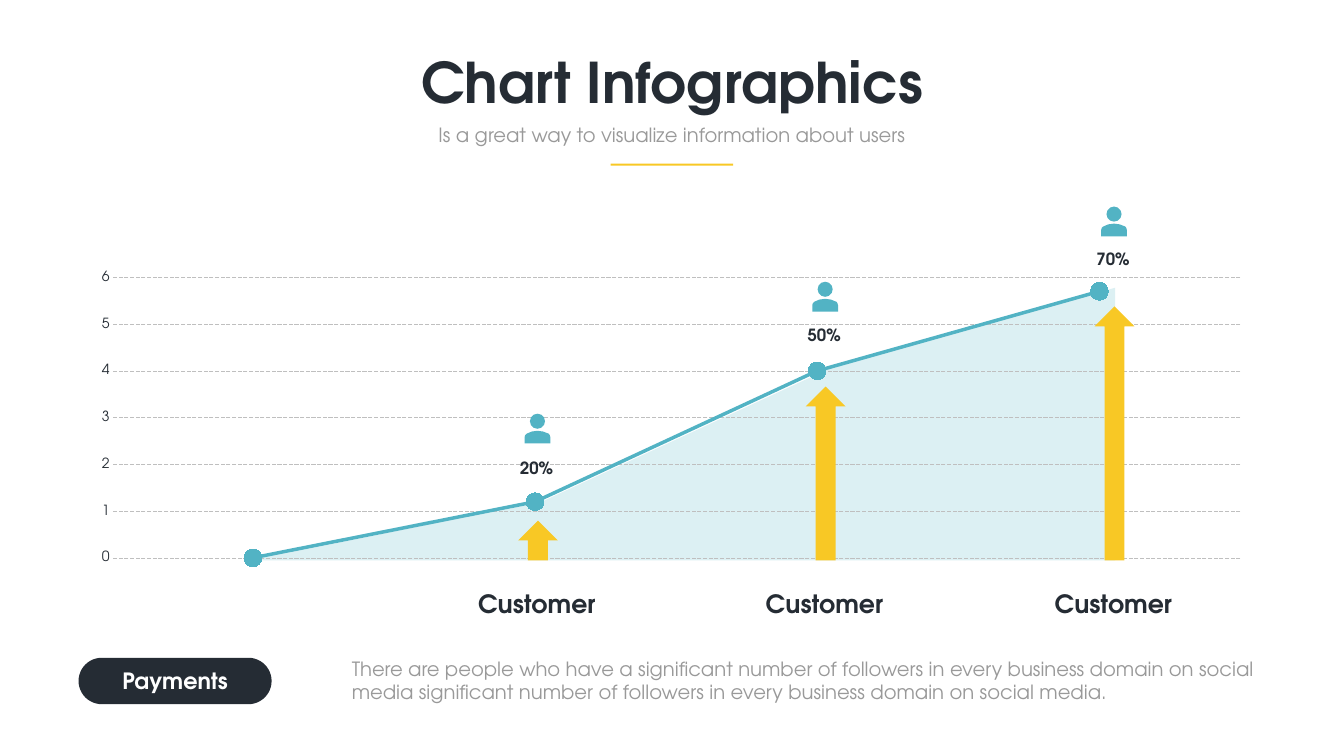
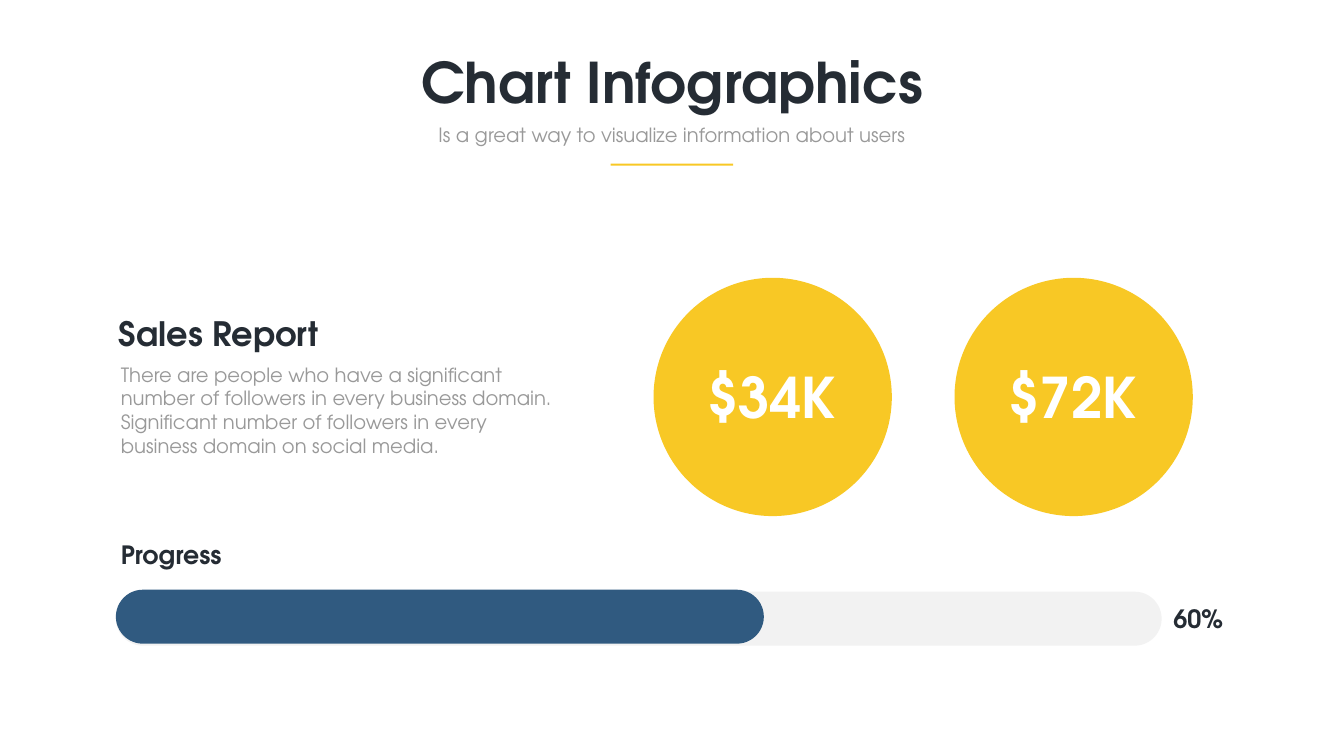
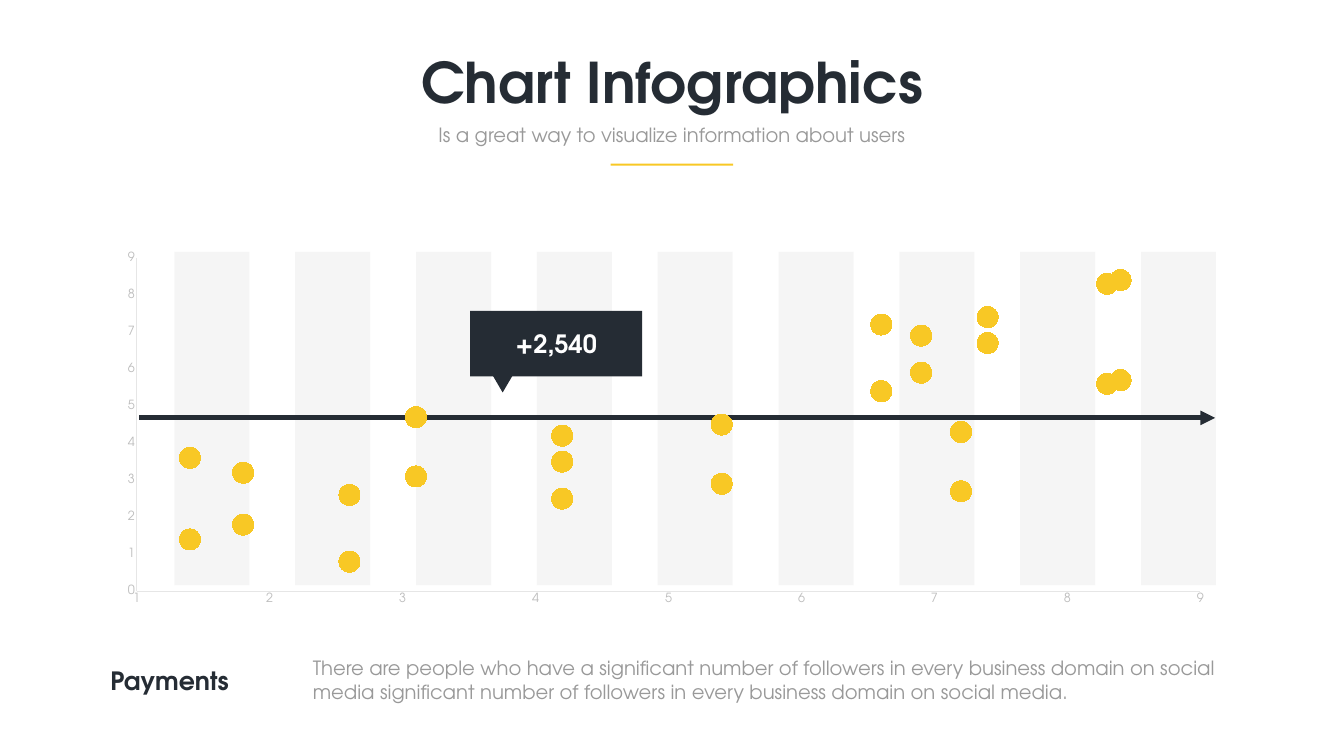
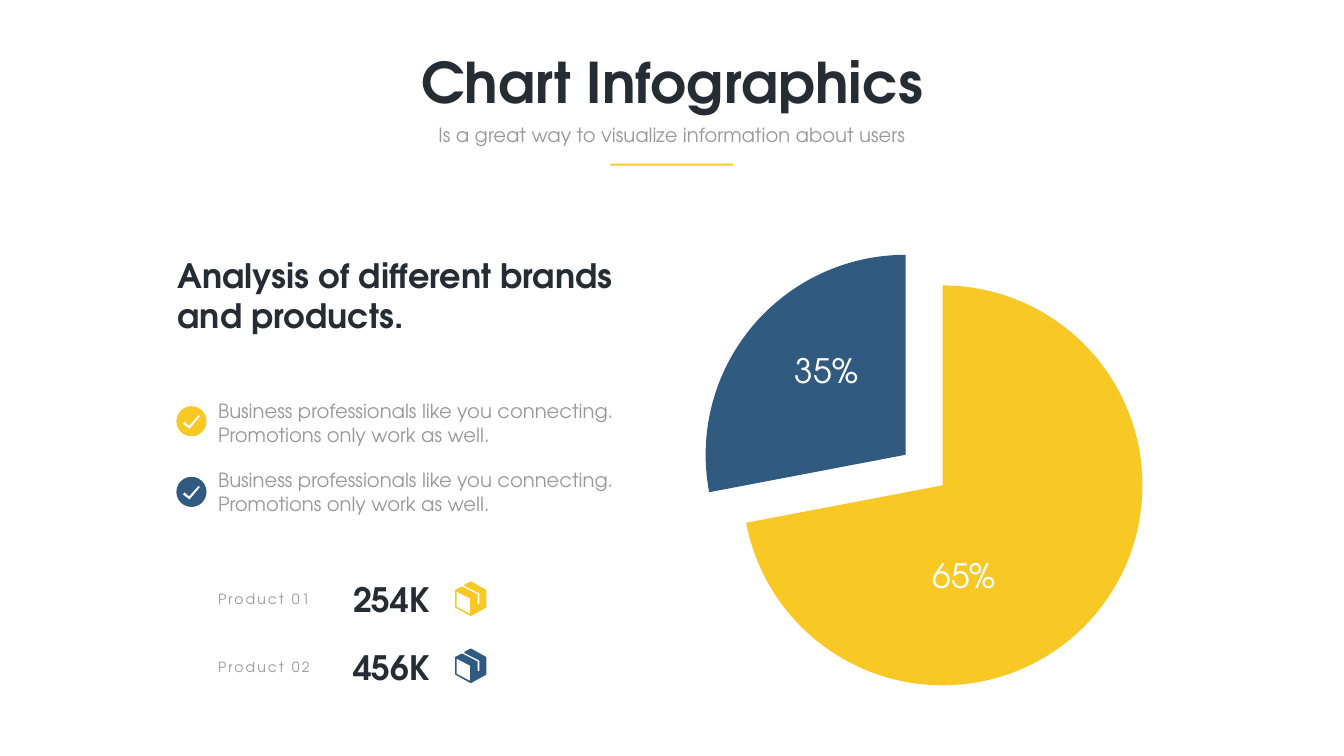
from pptx import Presentation
from pptx.chart.data import CategoryChartData, XyChartData
from pptx.dml.color import RGBColor
from pptx.enum.chart import XL_CHART_TYPE as Kind, XL_MARKER_STYLE as Mark, XL_TICK_MARK as Tick
from pptx.enum.dml import MSO_LINE as Dash
from pptx.enum.shapes import MSO_CONNECTOR as Link, MSO_SHAPE as Form
from pptx.enum.text import MSO_ANCHOR as Anchor, MSO_AUTO_SIZE as Fit, PP_ALIGN as Align
from pptx.oxml import parse_xml
from pptx.oxml.ns import nsdecls, qn
from pptx.util import Cm, Pt

FONT = "TeX Gyre Adventor"
DARK, GREY, WHITE = "252C34", "999999", "FFFFFF"
GOLD, BLUE, TEAL = "F8C825", "305A80", "52B3C4"
PALE, MIST = "F2F2F2", "DCF0F3"
LEFT, MID, RIGHT = Align.LEFT, Align.CENTER, Align.RIGHT
ABOUT = ("There are people who have a significant number of followers in every business "
         "domain on social media significant number of followers in every business domain "
         "on social media.")

BODY = [(1.22, 0.15), (0.94, 0.04), (0.65, 0), (0.36, 0.04), (0.1, 0.15), (0.03, 0.22),
        (0, 0.33), (0, 0.64), (1.3, 0.64), (1.3, 0.33), (1.27, 0.22)]
TICK = [(1.12, 0.46), (1.19, 0.51), (0.66, 1.14), (0.33, 0.89), (0.41, 0.79), (0.64, 0.99)]
CRATE = [(1.55, 0.41), (0.81, 0), (0.76, 0), (0.48, 0.15), (0.46, 0.19), (0.48, 0.23),
         (1.19, 0.58), (1.22, 0.62), (1.22, 1.12), (1.18, 1.14), (1.14, 1.12), (1.14, 0.66),
         (1.12, 0.64), (0.36, 0.25), (0.33, 0.25), (0.03, 0.41), (0, 0.43), (0, 1.3),
         (0.03, 1.32), (0.76, 1.73), (0.81, 1.73), (1.55, 1.32), (1.57, 1.3), (1.57, 0.43)]
FRONT = [(0.76, 1.63), (0.08, 1.27), (0.08, 0.51), (0.76, 0.86)]


def tint(code):
    return RGBColor.from_string(code)


def style(font, size, color, bold=False, name=FONT):
    font.name, font.size, font.bold = name, Pt(size), bold
    font.color.rgb = tint(color)


class Deck:
    def __init__(self):
        self.prs = Presentation()
        self.prs.slide_width, self.prs.slide_height = Cm(67.74), Cm(38.1)

    def page(self):
        slide = self.prs.slides.add_slide(self.prs.slide_layouts[6])
        self.shapes = slide.shapes
        self.text("Chart Infographics", 17.48, 2.29, 32.79, 3.68, 80, DARK, True, MID)
        self.text("Is a great way to visualize information about users",
                  21.72, 6.05, 24.28, 1.45, align=MID)
        self.shape(Form.RECTANGLE, 30.78, 8.25, 6.17, 0.1, GOLD)

    def text(self, words, x, y, w, h, size=28, color=GREY, bold=False, align=LEFT,
             wrap=True, space=0):
        box = self.shapes.add_textbox(Cm(x), Cm(y), Cm(w), Cm(h))
        frame = box.text_frame
        frame.word_wrap = wrap
        frame.auto_size = Fit.SHAPE_TO_FIT_TEXT
        para = frame.paragraphs[0]
        para.alignment = align
        run = para.add_run()
        run.text = words
        style(run.font, size, color, bold)
        if space:
            run._r.get_or_add_rPr().set("spc", str(space * 100))
        return frame

    def paint(self, item, color, alpha=None):
        item.shadow.inherit = False
        item.fill.solid()
        item.fill.fore_color.rgb = tint(color)
        item.line.fill.background()
        if alpha:
            node = item._element.spPr.find(".//" + qn("a:srgbClr"))
            node.append(parse_xml(f'<a:alpha {nsdecls("a")} val="{alpha * 1000}"/>'))
        return item

    def shape(self, form, x, y, w, h, color, alpha=None):
        item = self.shapes.add_shape(form, Cm(x), Cm(y), Cm(w), Cm(h))
        return self.paint(item, color, alpha)

    def pill(self, x, y, w, h, color):
        self.shape(Form.ROUNDED_RECTANGLE, x, y, w, h, color).adjustments[0] = 0.5

    def free(self, x, y, color, *rings):
        rings = [[(Cm(x + a), Cm(y + b)) for a, b in ring] for ring in rings]
        build = self.shapes.build_freeform(*rings[0][0], scale=1.0)
        for ring in rings:
            if ring is not rings[0]:
                build.move_to(*ring[0])
            build.add_line_segments(ring[1:], close=True)
        self.paint(build.convert_to_shape(), color)

    def person(self, x, y):
        self.free(x, y + 0.86, TEAL, BODY)
        self.shape(Form.OVAL, x + 0.27, y, 0.76, 0.76, TEAL)

    def arrow(self, x, y, end, color, width):
        line = self.shapes.add_connector(Link.STRAIGHT, Cm(x), Cm(y), Cm(end), Cm(y))
        line.line.color.rgb = tint(color)
        line.line.width = Pt(width)
        line.line._get_or_add_ln().append(
            parse_xml(f'<a:tailEnd {nsdecls("a")} type="triangle"/>'))
        line._element.spPr.append(parse_xml(f'<a:effectLst {nsdecls("a")}/>'))

    def chart(self, kind, data, place, inner, size=18, name=FONT):
        chart = self.shapes.add_chart(kind, *(Cm(n) for n in place), data).chart
        chart.has_legend = chart.has_title = False
        style(chart.font, size, GREY, name=name)
        chart.plots[0].vary_by_categories = False
        area = chart._chartSpace.chart.plotArea
        for old in area.findall(qn("c:layout")):
            area.remove(old)
        spots = "".join(f'<c:{tag} val="{val}"/>' for tag, val in zip("xywh", inner))
        area.insert(0, parse_xml(
            f'<c:layout {nsdecls("c")}><c:manualLayout><c:layoutTarget val="inner"/>'
            f'<c:xMode val="edge"/><c:yMode val="edge"/>{spots}</c:manualLayout></c:layout>'))
        clear = f'<c:spPr {nsdecls("c", "a")}><a:noFill/><a:ln><a:noFill/></a:ln></c:spPr>'
        area.append(parse_xml(clear))
        chart._chartSpace.chart.addnext(parse_xml(clear))
        return chart

    def axis(self, axis, low, high, size, color):
        axis.minimum_scale, axis.maximum_scale, axis.major_unit = low, high, 1
        axis.major_tick_mark = axis.minor_tick_mark = Tick.NONE
        axis.has_major_gridlines = False
        style(axis.tick_labels.font, size, color)

    def dot(self, series, size, color, edge):
        series.smooth = False
        mark = series.marker
        mark.style, mark.size = Mark.CIRCLE, size
        mark.format.fill.solid()
        mark.format.fill.fore_color.rgb = tint(color)
        mark.format.line.color.rgb = tint(edge)


def growth(deck):
    deck.page()
    base = 28.24
    deck.free(0, 0, MIST, [(27.23, 25.32), (41.71, 18.62), (56.21, 14.5),
                           (56.21, base), (12.6, base)])
    data = CategoryChartData()
    data.categories = ["1", "2", "3", "4"]
    data.add_series("Series 1", [0, 1.2, 4, 5.7])
    chart = deck.chart(Kind.LINE_MARKERS, data, (3.96, 13.36, 59.82, 15.42),
                       (0.028, 0.04, 0.951, 0.917), 20)
    chart.category_axis.visible = False
    axis = chart.value_axis
    deck.axis(axis, 0, 6, 20, DARK)
    axis.format.line.fill.background()
    axis.has_major_gridlines = True
    grid = axis.major_gridlines.format.line
    grid.color.rgb = tint("BFBFBF")
    grid.width, grid.dash_style = Pt(0.75), Dash.LONG_DASH
    series = chart.plots[0].series[0]
    series.format.line.color.rgb = tint(TEAL)
    series.format.line.width = Pt(5)
    deck.dot(series, 25, TEAL, WHITE)

    steps = [("20%", 26.11, 26.24, 22.94, 20.85),
             ("50%", 40.61, 19.48, 16.26, 14.2),
             ("70%", 55.17, 15.44, 12.4, 10.41)]
    for share, x, top, label, head in steps:
        deck.shape(Form.UP_ARROW, x, top, 2.01, base - top, GOLD)
        deck.text(share, x - 0.58, label, 3.02, 1.27, 24, DARK, True, MID)
        deck.text("Customer", x - 2.79, 29.51, 7.47, 1.8, 36, DARK, True, MID)
        deck.person(x + 0.33, head)
    deck.pill(3.96, 33.15, 9.73, 2.34, DARK)
    deck.text("Payments", 4.62, 33.48, 8.41, 1.63, 32, WHITE, True, MID)
    deck.text(ABOUT, 17.48, 32.97, 46.63, 2.64)


def sales(deck):
    deck.page()
    left = 5.84
    head = deck.text("Sales Report", left, 15.6, 20.07, 2.34, 48, DARK, True)
    head.vertical_anchor = Anchor.MIDDLE
    head.margin_left = head.margin_right = head.margin_top = head.margin_bottom = Cm(0.15)
    deck.text("There are people who have a significant number of followers in every business "
              "domain. Significant number of followers in every business domain on social "
              "media.", left, 18.16, 23.06, 6.25)
    deck.pill(left, 29.82, 52.71, 2.72, PALE)
    deck.pill(left, 29.72, 32.66, 2.72, BLUE)
    deck.text("Progress", left, 27.03, 28.75, 1.8, 36, DARK, True)
    deck.text("60%", 57.43, 30.28, 4.47, 1.8, 36, DARK, True, RIGHT)
    for sum_, x in (("$34K", 32.94), ("$72K", 48.11)):
        deck.shape(Form.OVAL, x, 14, 12.01, 12.01, GOLD)
        deck.text(sum_, x + 2.47, 18.16, 7.06, 3.68, 80, WHITE, True, wrap=False)


def scatter(deck):
    deck.page()
    for i in range(9):
        deck.shape(Form.RECTANGLE, 8.79 + 6.09 * i, 12.7, 3.78, 16.79, PALE, 70)
    deck.arrow(7.01, 21.06, 61.24, DARK, 7)
    xs = [7.2, 1.8, 2.6, 4.2, 3.1, 1.4, 4.2, 8.3, 7.4, 6.9, 8.4, 5.4, 6.6]
    rows = [[2.7, 3.2, 0.8, 2.5, 4.7, 3.6, 3.5, 5.6, 6.7, 5.9, 5.7, 2.9, 7.2],
            [4.3, *xs[1:-2], 4.5, 5.4]]
    data = XyChartData()
    for n, ys in enumerate(rows, 1):
        series = data.add_series(f"Series {n}")
        for x, y in zip(xs, ys):
            series.add_data_point(x, y)
    chart = deck.chart(Kind.XY_SCATTER, data, (5.31, 12.29, 56.49, 18.57),
                       (0.028, 0.038, 0.949, 0.905))
    for axis, low in ((chart.category_axis, 1), (chart.value_axis, 0)):
        deck.axis(axis, low, 9, 18, "BDBDBD")
        axis.format.line.color.rgb = tint("E6E6E6")
        axis.format.line.width = Pt(0.75)
    for series in chart.plots[0].series:
        series.format.line.fill.background()
        deck.dot(series, 30, GOLD, GOLD)

    deck.shape(Form.RECTANGLE, 23.7, 15.67, 8.66, 3.3, DARK)
    deck.shape(Form.ISOSCELES_TRIANGLE, 24.61, 18.54, 1.45, 1.24, DARK).rotation = 180
    deck.text("+2,540", 24.64, 16.43, 6.78, 1.8, 36, WHITE, True, MID)
    deck.text("Payments", 5.31, 33.38, 8.41, 1.8, 36, DARK, True)
    deck.text(ABOUT, 15.52, 32.94, 46.63, 2.64)


def brands(deck):
    deck.page()
    data = CategoryChartData()
    data.categories = ["1", "2"]
    data.add_series("Series 1", [72, 28])
    chart = deck.chart(Kind.PIE, data, (34.19, 11.96, 24.82, 23.44),
                       (0.044, 0.019, 0.91, 0.963), 10, "Calibri")
    series = chart.plots[0].series[0]
    series._element.find(qn("c:tx")).addnext(
        parse_xml(f'<c:explosion {nsdecls("c")} val="12"/>'))
    for i, color in enumerate((GOLD, BLUE)):
        part = series.points[i].format
        part.fill.solid()
        part.fill.fore_color.rgb = tint(color)
        part.line.fill.background()
    deck.text("65%", 45.77, 27.86, 5.64, 2.31, 48, WHITE, align=MID)
    deck.text("35%", 38.84, 17.5, 5.64, 2.31, 48, WHITE, align=MID)

    for i, (color, count) in enumerate(((GOLD, "254K"), (BLUE, "456K"))):
        y = 20.47 + 3.56 * i
        deck.shape(Form.OVAL, 8.89, y, 1.52, 1.52, color)
        deck.free(8.89, y, WHITE, TICK)
        deck.text("Business professionals like you connecting. Promotions only work as well.",
                  10.74, 19.99 + 3.48 * i, 21.01, 2.64)
        deck.text(count, 17.55, 29.03 + 3.43 * i, 4.47, 2.31, 48, DARK, True)
        deck.text(f"Product 0{i + 1}", 10.74, 29.62 + 3.45 * i, 6.55, 1.12, 20, space=3)
        deck.free(22.94, 29.31 + 3.38 * i, color, CRATE, FRONT)
    deck.text("Analysis of different brands and products.",
              8.71, 12.73, 23.22, 4.37, 48, DARK, True)


def main():
    deck = Deck()
    for make in (growth, sales, scatter, brands):
        make(deck)
    deck.prs.save("out.pptx")


if __name__ == "__main__":
    main()
